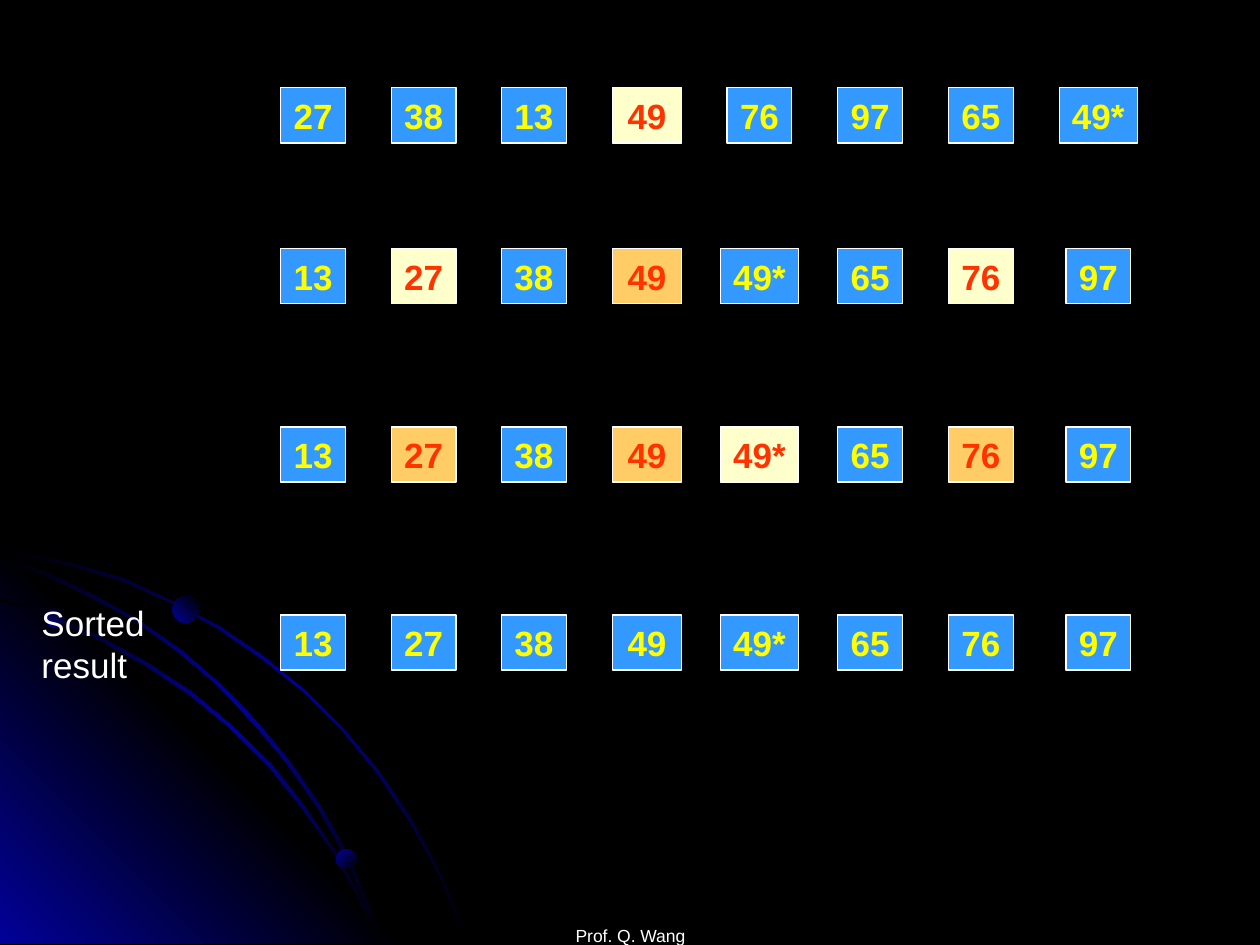
"""Build a slide that traces quicksort passes over eight keys."""
from pptx import Presentation
from pptx.dml.color import RGBColor
from pptx.enum.shapes import MSO_SHAPE as Kind
from pptx.enum.text import MSO_ANCHOR as Anchor, PP_ALIGN as Align
from pptx.oxml import parse_xml
from pptx.oxml.ns import nsdecls, qn
from pptx.util import Pt

rgb = RGBColor.from_string


def shade(shape, angle, *tones):
    """Give a shape an even gradient without outline or shadow."""
    shape.shadow.inherit = False
    shape.line.fill.background()
    shape.fill.background()
    step = 100000 // (len(tones) - 1)
    stops = "".join(
        f'<a:gs pos="{i * step}"><a:srgbClr val="{tone}"/></a:gs>'
        for i, tone in enumerate(tones))
    grad = parse_xml(
        f'<a:gradFill {nsdecls("a")} rotWithShape="1"><a:gsLst>{stops}</a:gsLst>'
        f'<a:lin ang="{angle * 60000}" scaled="0"/></a:gradFill>')
    props = shape._element.spPr
    props.replace(props.find(qn("a:noFill")), grad)


def style(frame, text, size, tone, bold=False, align=Align.CENTER):
    """Write text into a frame and format every run."""
    frame.text = text
    for para in frame.paragraphs:
        para.alignment = align
        for run in para.runs:
            run.font.name = "Arial"
            run.font.size = Pt(size)
            run.font.bold = bold
            run.font.color.rgb = rgb(tone)


deck = Presentation()
deck.slide_width, deck.slide_height = Pt(720), Pt(540)
slide = deck.slides.add_slide(deck.slide_layouts[6])
slide.background.fill.solid()
slide.background.fill.fore_color.rgb = rgb("000000")
shapes = slide.shapes

BLACK, BLUE = "000000", "010199"
ARC = (45, BLACK, BLUE, BLACK)
GLOW = (315, BLUE, BLACK, BLUE)
curves = [
    (ARC, [(57, 447), (28, 441), (0, 435), (0, 438), (28, 443), (56, 449),
           (97, 461), (135, 478), (173, 499), (208, 523), (241, 549),
           (271, 579), (298, 612), (323, 649), (337, 673), (350, 698),
           (360, 723), (370, 749), (372, 749), (362, 723), (352, 698),
           (339, 673), (325, 648), (300, 611), (272, 578), (242, 548),
           (209, 521), (174, 497), (136, 477), (98, 459)]),
    (GLOW, [(322, 749), (0, 749), (0, 427)]),
    (ARC, [(285, 714), (294, 732), (301, 749), (303, 749), (296, 730),
           (286, 712), (266, 676), (242, 640), (215, 606), (184, 576),
           (152, 549), (117, 526), (79, 505), (41, 488), (0, 475), (0, 477),
           (39, 490), (77, 507), (115, 528), (150, 551), (183, 578),
           (213, 608), (240, 642), (265, 677)]),
    (ARC, [(0, 442), (0, 444), (36, 457), (74, 475), (109, 494), (142, 518),
           (173, 544), (202, 575), (227, 605), (252, 641), (267, 667),
           (280, 694), (292, 722), (301, 749), (303, 749), (294, 720),
           (282, 693), (269, 665), (254, 639), (229, 603), (204, 573),
           (175, 543), (144, 516), (111, 493), (76, 473), (39, 455)]),
]
for look, spots in curves:
    path = shapes.build_freeform(*spots[0], scale=Pt(0.72))
    path.add_line_segments(spots[1:], close=True)
    shade(path.convert_to_shape(), *look)

for left, top, size, angle in [(25.9, 347.8, 10.8, 315),
                               (192.2, 485.3, 11.5, 45),
                               (98.6, 340.6, 15.1, 315)]:
    dot = shapes.add_shape(Kind.OVAL, Pt(left), Pt(top), Pt(size), Pt(size))
    shade(dot, angle, BLUE, BLACK)

foot = shapes.add_textbox(Pt(246.2), Pt(504.7), Pt(228.2), Pt(36)).text_frame
foot.word_wrap = True
foot.vertical_anchor = Anchor.BOTTOM
foot.margin_bottom = 0
style(foot, "Prof. Q. Wang", 10, "FFFFFF")

LOOKS = {"key": ("3399FF", "FFFF00"),
         "pivot": ("FFFFCC", "FF3300"),
         "done": ("FFCC66", "FF3300")}
WIDE = {"49": 39.6, "49*": 44.6}
MIDS = [178.9, 242.1, 305.1, 369.7, 434, 497.2, 560.5, 627.6]
ORDER = "13 27 38 49 49* 65 76 97"
rows = [
    (50.2, "27 38 13 49 76 97 65 49*", {"49": "pivot"}),
    (142, ORDER, {"27": "pivot", "49": "done", "76": "pivot"}),
    (244, ORDER, {"27": "done", "49": "done", "49*": "pivot", "76": "done"}),
    (351.4, ORDER, {}),
]
for top, keys, marks in rows:
    for mid, key in zip(MIDS, keys.split()):
        fill, ink = LOOKS[marks.get(key, "key")]
        width = WIDE.get(key, 37)
        box = shapes.add_shape(Kind.RECTANGLE, Pt(mid - width / 2), Pt(top),
                               Pt(width), Pt(31.5))
        box.shadow.inherit = False
        box.fill.solid()
        box.fill.fore_color.rgb = rgb(fill)
        box.line.color.rgb = rgb("FFFFFF")
        box.line.width = Pt(0.75)
        box.text_frame.word_wrap = False
        box.text_frame.vertical_anchor = Anchor.MIDDLE
        style(box.text_frame, key, 20, ink, bold=True)

note = shapes.add_textbox(Pt(16.6), Pt(340), Pt(78.5), Pt(55.5)).text_frame
note.word_wrap = False
style(note, "Sorted\nresult", 20, "FFFFFF", align=Align.LEFT)

deck.save("out.pptx")
